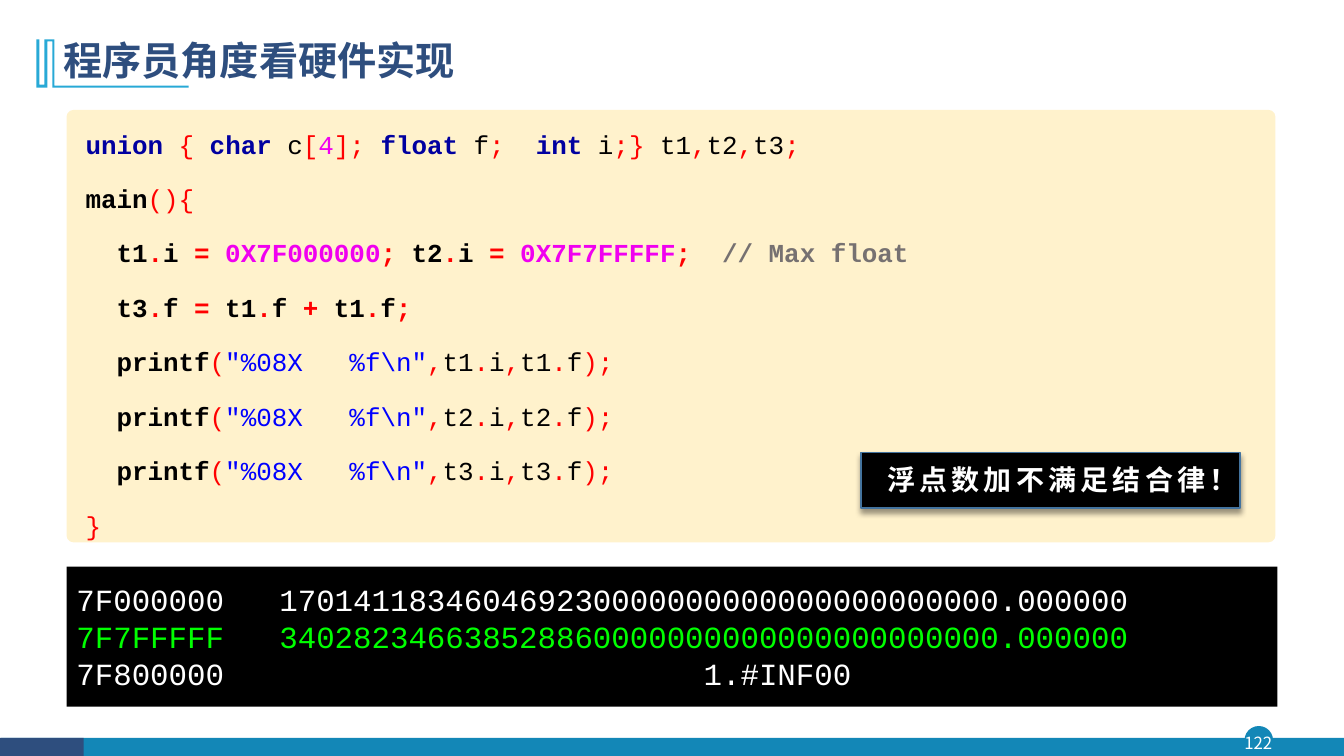
import itertools
import pptx
import pptx.dml.color
import pptx.enum.shapes
import pptx.enum.text
import pptx.oxml
import pptx.oxml.ns
import pptx.util

Inches = pptx.util.Inches
Pt = pptx.util.Pt
SHAPE = pptx.enum.shapes.MSO_SHAPE
ANCHOR = pptx.enum.text.MSO_ANCHOR
ALIGN = pptx.enum.text.PP_ALIGN


class Theme:
    sans, mono = "Noto Sans CJK SC", "Courier New"
    teal, sky, navy, edge = "1387B7", "28A9D6", "2E4E7E", "43739E"
    cream, black, white, green = "FFF2CC", "000000", "FFFFFF", "00FF00"
    key, sign, num, quote, note = "0000A0", "FF0000", "F000F0", "0000FF", "767171"
    head, code, out, call, page = 28, 18.5, 22, 20, 12


KEYS = {"union", "char", "float", "int"}
NAMES = {"main", "printf"}

# Code pieces: text, bold, and a colour where the syntax rule does not apply
SUM = [
    [("union { char c[4]; float f;  int i;} t1,t2,t3;", False, None)],
    [("main(){", False, None)],
    [("  t1.i = 0X7F000000; t2.i = 0X7F7FFFFF;  ", True, None),
     ("// Max float", True, Theme.note)],
    [("  t3.f = t1.f + t1.f;", True, None)],
]
PRINTS = [
    [("  printf(", False, None), ('"%08X   %f\\n"', False, Theme.quote),
     (f",{var}.i,{var}.f);", False, None)]
    for var in ("t1", "t2", "t3")
]
CODE = SUM + PRINTS + [[("}", False, None)]]

OUTPUT = [
    ("7F000000   170141183460469230000000000000000000000.000000", Theme.white),
    ("7F7FFFFF   340282346638528860000000000000000000000.000000", Theme.green),
    ("7F800000                          1.#INF00", Theme.white),
]

MARK = [
    (0.54, 0.39), (0.54, 0.85), (1.87, 0.85), (1.87, 0.87), (0.52, 0.87),
    (0.52, 0.41), (0.47, 0.41), (0.47, 0.87), (0.36, 0.87), (0.36, 0.39),
    (0.39, 0.39), (0.39, 0.84), (0.44, 0.84), (0.44, 0.39),
]


def rgb(color):
    return pptx.dml.color.RGBColor.from_string(color)


def tokens(text, bold):
    """Split code into words and signs, each with its weight and colour."""
    for word, chars in itertools.groupby(text, str.isalnum):
        part = "".join(chars)
        if not word:
            yield part, bold, Theme.sign
        elif part in KEYS:
            yield part, True, Theme.key
        elif part[0].isdigit():
            yield part, bold, Theme.num
        else:
            yield part, bold or part in NAMES, Theme.black


class Deck:
    def __init__(self, theme):
        self.theme = theme
        self.file = pptx.Presentation()
        self.file.slide_width = Inches(13.33)
        self.file.slide_height = Inches(7.5)
        self.slide = self.file.slides.add_slide(self.file.slide_layouts[6])

    def paint(self, shape, fill, line=None):
        shape.shadow.inherit = False
        shape.fill.solid()
        shape.fill.fore_color.rgb = rgb(fill)
        if line:
            shape.line.color.rgb = rgb(line)
            shape.line.width = Pt(1)
        else:
            shape.line.fill.background()
        return shape

    def shape(self, kind, box, fill, line=None):
        item = self.slide.shapes.add_shape(kind, *map(Inches, box))
        return self.paint(item, fill, line)

    def outline(self, points, fill):
        pen = self.slide.shapes.build_freeform(
            Inches(points[0][0]), Inches(points[0][1]))
        pen.add_line_segments([(Inches(x), Inches(y)) for x, y in points[1:]])
        return self.paint(pen.convert_to_shape(), fill)

    def shade(self, shape):
        effects = shape._element.spPr.find(pptx.oxml.ns.qn("a:effectLst"))
        effects.append(pptx.oxml.parse_xml(
            f'<a:outerShdw {pptx.oxml.ns.nsdecls("a")} blurRad="{Pt(4)}" '
            f'dist="{Pt(3)}" dir="5400000" algn="t" rotWithShape="0">'
            '<a:srgbClr val="000000"><a:alpha val="40000"/></a:srgbClr>'
            '</a:outerShdw>'))

    def style(self, run, font, size, color, bold=False):
        run.font.name = font
        run.font.size = Pt(size)
        run.font.bold = bold
        run.font.color.rgb = rgb(color)
        face = pptx.oxml.parse_xml(
            f'<a:ea {pptx.oxml.ns.nsdecls("a")} typeface="{font}"/>')
        run._r.get_or_add_rPr().append(face)

    def frame(self, box, anchor=ANCHOR.TOP):
        frame = self.slide.shapes.add_textbox(*map(Inches, box)).text_frame
        frame.word_wrap = True
        frame.vertical_anchor = anchor
        return frame

    def label(self, box, text, size, color, bold=False, anchor=ANCHOR.TOP):
        frame = self.frame(box, anchor)
        frame.text = text
        self.style(frame.paragraphs[0].runs[0], self.theme.sans, size, color, bold)
        return frame

    def code(self, box, lines):
        frame = self.frame(box)
        frame.text = "\n".join("" for _ in lines)
        for row, (para, line) in enumerate(zip(frame.paragraphs, lines)):
            para.line_spacing = 1.3
            para.space_before = Pt(10 if row else 0)
            for text, bold, color in line:
                parts = [(text, bold, color)] if color else tokens(text, bold)
                for part, weight, tint in parts:
                    run = para.add_run()
                    run.text = part
                    self.style(run, self.theme.mono, self.theme.code, tint, weight)

    def screen(self, box, lines):
        frame = self.shape(SHAPE.RECTANGLE, box, self.theme.black).text_frame
        frame.word_wrap = True
        frame.vertical_anchor = ANCHOR.MIDDLE
        frame.text = "\n".join(text for text, _ in lines)
        for para, (_, color) in zip(frame.paragraphs, lines):
            para.alignment = ALIGN.LEFT
            self.style(para.runs[0], self.theme.mono, self.theme.out, color)


def main():
    look = Theme()
    deck = Deck(look)

    # Footer bar and page number
    deck.shape(SHAPE.OVAL, (12.35, 7.21, 0.27, 0.27), look.teal, look.teal)
    deck.shape(SHAPE.RECTANGLE, (0.01, 7.32, 13.32, 0.19), look.teal)
    deck.shape(SHAPE.RECTANGLE, (0, 7.32, 0.83, 0.19), look.navy)
    page = deck.label((12.32, 7.21, 0.32, 0.31), "122", look.page, look.white,
                      anchor=ANCHOR.MIDDLE)
    page.margin_left = page.margin_right = page.margin_top = page.margin_bottom = 0
    page.paragraphs[0].alignment = ALIGN.CENTER

    # Title with its mark
    deck.outline(MARK, look.sky)
    title = deck.label((0.53, 0.28, 11.5, 0.68), "程序员角度看硬件实现", look.head,
                       look.navy, True, ANCHOR.MIDDLE)
    title.paragraphs[0].line_spacing = 0.9

    # Code panel
    panel = deck.shape(SHAPE.ROUNDED_RECTANGLE, (0.66, 1.09, 11.99, 4.29), look.cream)
    panel.adjustments[0] = 0.016
    deck.code((0.75, 1.13, 11.5, 4.49), CODE)

    # Program output
    deck.screen((0.66, 5.62, 12.01, 1.39), OUTPUT)

    # Callout
    deck.shade(deck.shape(SHAPE.RECTANGLE, (8.54, 4.49, 3.76, 0.55),
                          look.black, look.edge))
    call = deck.label((8.7, 4.54, 3.76, 0.44), "浮点数加不满足结合律！", look.call,
                      look.white, True)
    call.paragraphs[0].runs[0]._r.get_or_add_rPr().set("spc", "300")

    deck.file.save("out.pptx")


if __name__ == "__main__":
    main()
